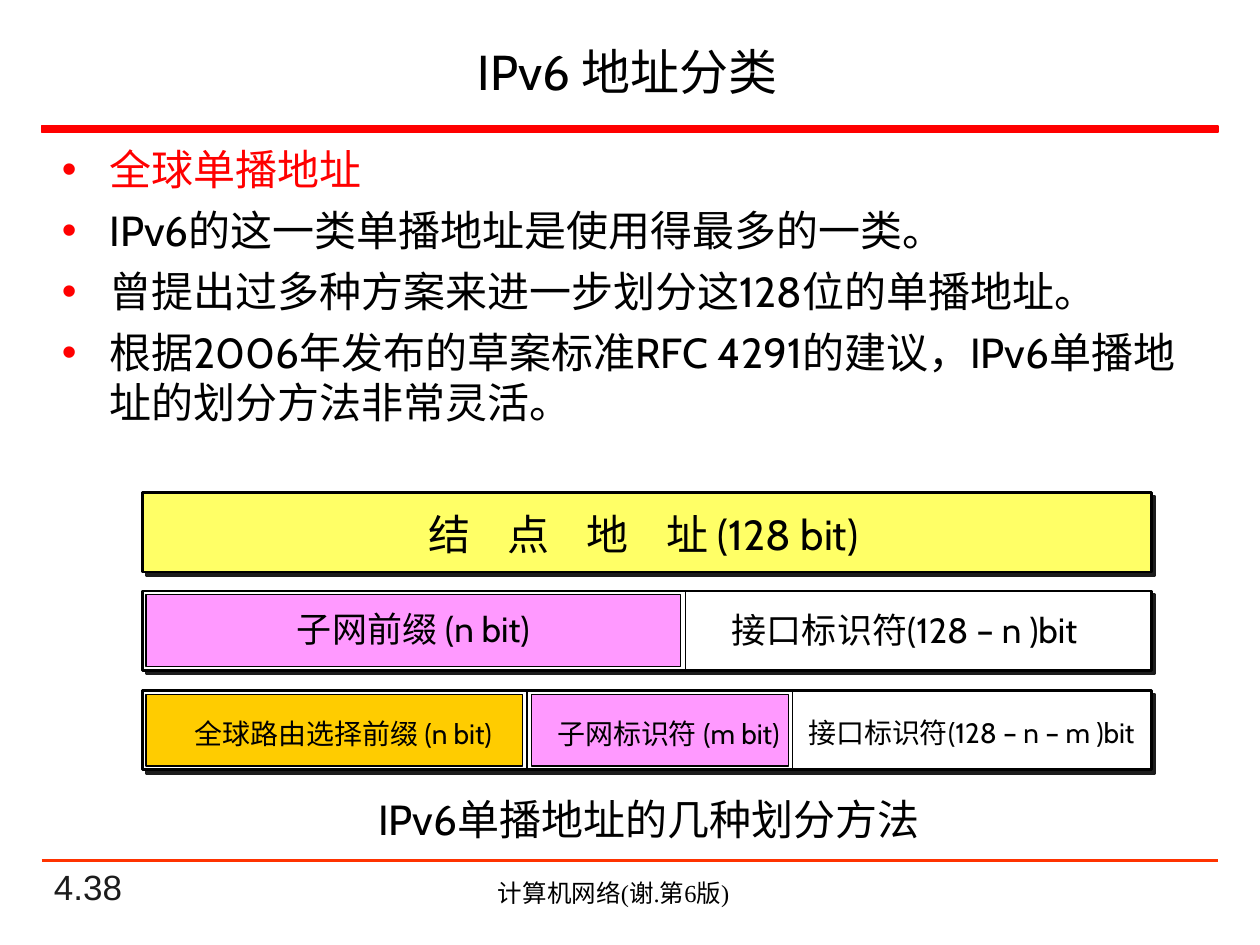
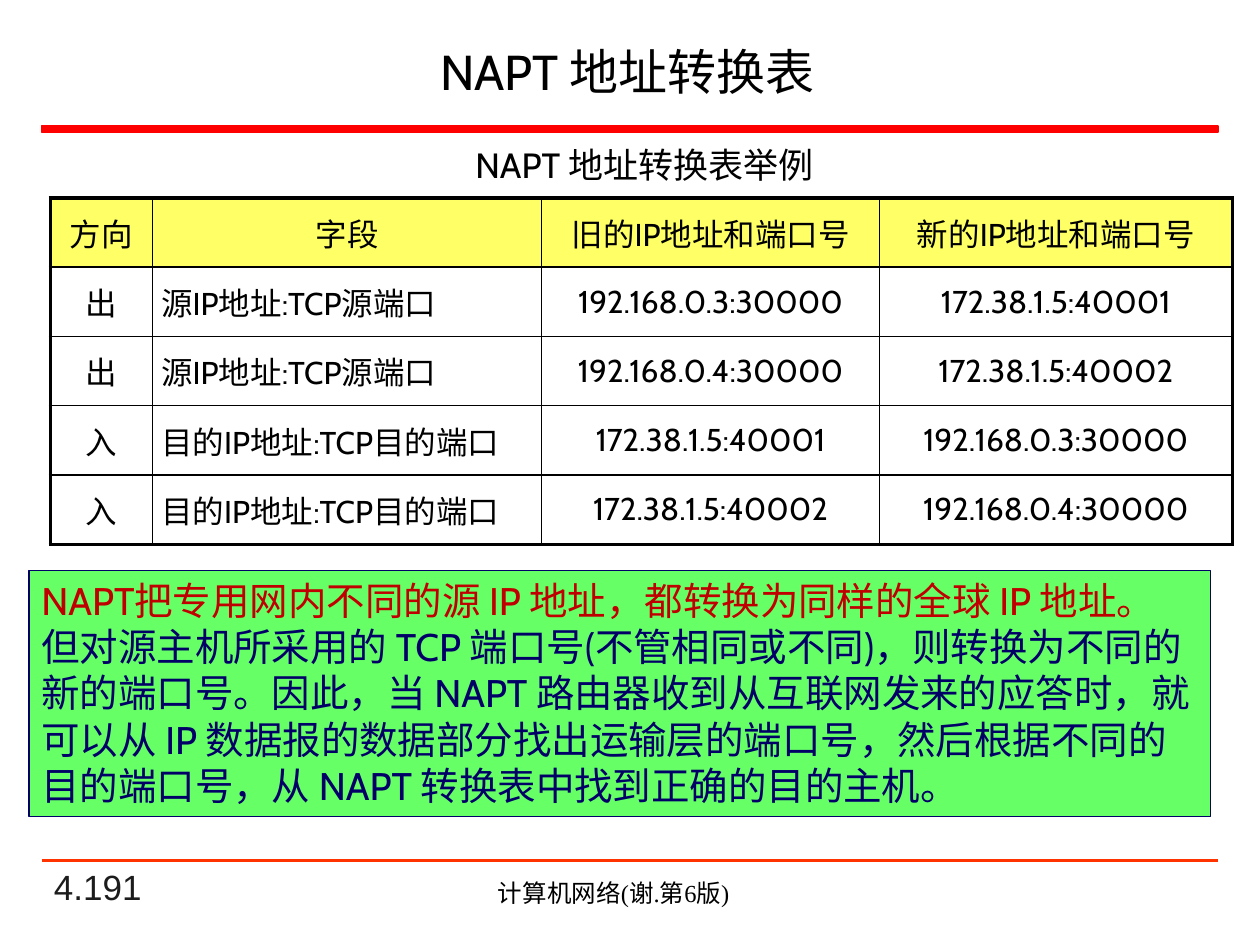
from pptx import Presentation
from pptx.dml.color import RGBColor as Rgb
from pptx.enum.shapes import MSO_CONNECTOR as Conn, MSO_SHAPE as Kind
from pptx.enum.text import MSO_ANCHOR as Anchor, MSO_AUTO_SIZE as Fit, PP_ALIGN as Align
from pptx.oxml import parse_xml
from pptx.oxml.ns import nsdecls
from pptx.util import Inches, Pt


class Theme:
    font, num, foot = "Cabin", "Arial", "Times New Roman"
    black, white, ink = "000000", "FFFFFF", "1C1C1C"
    red, rule, deep, navy = "FF0000", "FF3300", "C00000", "000066"
    yellow, pink, gold, green = "FFFF66", "FF99FF", "FFCC00", "66FF66"
    title, body, note, head, cell, small, tiny = 28, 24, 22, 20, 18, 16, 14


def write(par, text, size, color=Theme.black, font=Theme.font):
    run = par.add_run()
    run.text = text
    run.font.size = Pt(size)
    run.font.name = font
    run.font.color.rgb = Rgb.from_string(color)
    return run


def rect(page, box, fill, line=Theme.black, width=0.75):
    shape = page.shapes.add_shape(Kind.RECTANGLE, *map(Inches, box))
    shape.shadow.inherit = False
    shape.fill.solid()
    shape.fill.fore_color.rgb = Rgb.from_string(fill)
    shape.line.color.rgb = Rgb.from_string(line)
    shape.line.width = Pt(width)
    return shape


deck = Presentation()
deck.slide_width, deck.slide_height = Inches(10), Inches(7.5)
addr = deck.slides.add_slide(deck.slide_layouts[1])
napt = deck.slides.add_slide(deck.slide_layouts[5])
lines = []  # page, start, end, color, width

# Shared title, rules and footer
for page, name, num in ((addr, "IPv6 地址分类", "4.38"),
                        (napt, "NAPT 地址转换表", "4.191")):
    title = page.shapes.title
    title.left, title.top, title.width, title.height = map(Inches, (0.36, 0.22, 9.24, 0.69))
    title.text_frame.auto_size = Fit.NONE
    title.text_frame.vertical_anchor = Anchor.MIDDLE
    par = title.text_frame.paragraphs[0]
    par.alignment = Align.CENTER
    write(par, name, Theme.title)
    rect(page, (0.33, 1, 9.34, 0.05), Theme.red, Theme.red, 1)
    lines.append((page, (0.33, 6.83), (9.67, 6.83), Theme.rule, 1.5))
    for box, text, size, color, font, side, anchor in (
            ((0.33, 6.92, 2.08, 0.33), num, Theme.head, Theme.ink, Theme.num,
             Align.LEFT, Anchor.BOTTOM),
            ((2.83, 6.92, 4.08, 0.34), "计算机网络(谢.第6版)", Theme.tiny, Theme.black,
             Theme.foot, Align.CENTER, Anchor.TOP)):
        frame = page.shapes.add_textbox(*map(Inches, box)).text_frame
        frame.word_wrap = True
        frame.vertical_anchor = anchor
        par = frame.paragraphs[0]
        par.alignment = side
        write(par, text, size, color, font)

# Bullet list
body = addr.placeholders[1]
body.left, body.top, body.width, body.height = map(Inches, (0.39, 1.09, 9.37, 2.5))
frame = body.text_frame
frame.auto_size = Fit.NONE
points = ("全球单播地址",
          "IPv6的这一类单播地址是使用得最多的一类。",
          "曾提出过多种方案来进一步划分这128位的单播地址。",
          "根据2006年发布的草案标准RFC 4291的建议，IPv6单播地址的划分方法非常灵活。")
for i, text in enumerate(points):
    par = frame.add_paragraph() if i else frame.paragraphs[0]
    par.space_before = Pt(6 if i else 0)
    prop = par._p.get_or_add_pPr()
    prop.set("marL", str(Inches(0.38)))
    prop.set("indent", str(-Inches(0.38)))
    for mark in (f'<a:buClr {nsdecls("a")}><a:srgbClr val="{Theme.red}"/></a:buClr>',
                 f'<a:buFont {nsdecls("a")} typeface="{Theme.num}"/>',
                 f'<a:buChar {nsdecls("a")} char="•"/>'):
        prop.append(parse_xml(mark))
    write(par, text, Theme.body, Theme.black if i else Theme.red)

# Address bars with hard shadows
tops = (3.91, 4.69, 5.48)
for top, fill in zip(tops, (Theme.yellow, Theme.white, Theme.white)):
    bar = rect(addr, (1.13, top, 8.01, 0.63), fill, width=1.5)
    bar._element.spPr.remove(bar._element.spPr.find("{*}effectLst"))
    bar._element.spPr.append(parse_xml(
        f'<a:effectLst {nsdecls("a")}><a:outerShdw dist="{Pt(2.8)}" dir="2700000" '
        f'algn="ctr" rotWithShape="0"><a:srgbClr val="{Theme.ink}"/>'
        '</a:outerShdw></a:effectLst>'))

# Fields inside the bars
for row, left, width, fill in ((1, 1.16, 4.24, Theme.pink), (2, 1.16, 2.99, Theme.gold),
                               (2, 4.22, 2.04, Theme.pink)):
    rect(addr, (left, tops[row] + 0.03, width, 0.57), fill)
for row, x in ((1, 5.44), (2, 4.18), (2, 6.29)):
    lines.append((addr, (x, tops[row]), (x, tops[row] + 0.64), Theme.black, 1))

# Labels and captions: page, box, widely spaced text, text, size, wrap
mid = Align.CENTER
notes = (
    (addr, (3, 3.99, 4.21, 0.5), "结 点 地 ", "址 (128 bit)", Theme.body, False),
    (addr, (5.6, 4.78, 3.16, 0.43), "", "接口标识符(128 – n )bit", Theme.head, False),
    (addr, (2.19, 4.77, 2.18, 0.43), "", "子网前缀 (n bit)", Theme.head, False),
    (addr, (6.2, 5.63, 3.02, 0.37), "", "接口标识符(128 – n – m )bit", Theme.small, False),
    (addr, (4.27, 5.64, 2.07, 0.37), "", "子网标识符 (m bit)", Theme.small, False),
    (addr, (1.39, 5.64, 2.67, 0.37), "", "全球路由选择前缀 (n bit)", Theme.small, True),
    (addr, (1.95, 6.25, 6.4, 0.5), "", "IPv6单播地址的几种划分方法", Theme.body, True),
    (napt, (2.97, 1.09, 4.29, 0.44), "", "NAPT 地址转换表举例", Theme.head, True),
)
for page, box, spaced, text, size, wrap in notes:
    frame = page.shapes.add_textbox(*map(Inches, box)).text_frame
    frame.word_wrap = wrap
    par = frame.paragraphs[0]
    par.alignment = mid
    if spaced:
        write(par, spaced, size)._r.get_or_add_rPr().set("spc", "800")
    write(par, text, size)

# Translation table
out, back = "源IP地址:TCP源端口", "目的IP地址:TCP目的端口"
rows = (("方向", "字段", "旧的IP地址和端口号", "新的IP地址和端口号"),
        ("出", out, "192.168.0.3:30000", "172.38.1.5:40001"),
        ("出", out, "192.168.0.4:30000", "172.38.1.5:40002"),
        ("入", back, "172.38.1.5:40001", "192.168.0.3:30000"),
        ("入", back, "172.38.1.5:40002", "192.168.0.4:30000"))
wide = (0.81, 3.09, 2.68, 2.8)
grid = napt.shapes.add_table(len(rows), len(wide), *map(Inches, (0.4, 1.57, 9.38, 2.75))).table
for col, width in zip(grid.columns, wide):
    col.width = Inches(width)
for r, row in enumerate(rows):
    grid.rows[r].height = Inches(0.55)
    for c, text in enumerate(row):
        cell = grid.cell(r, c)
        cell.vertical_anchor = Anchor.MIDDLE
        cell.margin_left = cell.margin_right = Inches(0.07)
        cell.margin_top = cell.margin_bottom = 0
        edges = {"L": c == 0, "R": c == len(wide) - 1, "T": r == 0, "B": r == len(rows) - 1}
        for side, outer in edges.items():
            cell._tc.get_or_add_tcPr().append(parse_xml(
                f'<a:ln{side} {nsdecls("a")} w="{Pt(2.25 if outer else 1)}"><a:solidFill>'
                f'<a:srgbClr val="{Theme.black}"/></a:solidFill></a:ln{side}>'))
        if r:
            cell.fill.background()
        else:
            cell.fill.solid()
            cell.fill.fore_color.rgb = Rgb.from_string(Theme.yellow)
        par = cell.text_frame.paragraphs[0]
        par.alignment = Align.JUSTIFY if r and c == 1 else mid
        write(par, text, Theme.cell)

# Explanation panel, punctuation kept inside the margin
frame = rect(napt, (0.23, 4.53, 9.38, 1.95), Theme.green, Theme.navy).text_frame
frame.word_wrap = True
frame.vertical_anchor = Anchor.TOP
frame.margin_right = Inches(0.14)
par = frame.paragraphs[0]
par.alignment = Align.LEFT
par._p.get_or_add_pPr().set("hangingPunct", "0")
write(par, "NAPT把专用网内不同的源 IP 地址，都转换为同样的全球 IP 地址。", Theme.note, Theme.deep)
write(par, "但对源主机所采用的 TCP 端口号(不管相同或不同)，则转换为不同的新的端口号。"
           "因此，当 NAPT 路由器收到从互联网发来的应答时，就可以从 IP 数据报的数据部分"
           "找出运输层的端口号，然后根据不同的目的端口号，从 NAPT 转换表中找到正确的目的主机。",
      Theme.note, Theme.navy)

# Rules and dividers
for page, start, end, color, width in lines:
    line = page.shapes.add_connector(Conn.STRAIGHT, *map(Inches, start + end))
    line.line.color.rgb = Rgb.from_string(color)
    line.line.width = Pt(width)
    line._element.spPr.append(parse_xml(f'<a:effectLst {nsdecls("a")}/>'))

deck.save("out.pptx")
